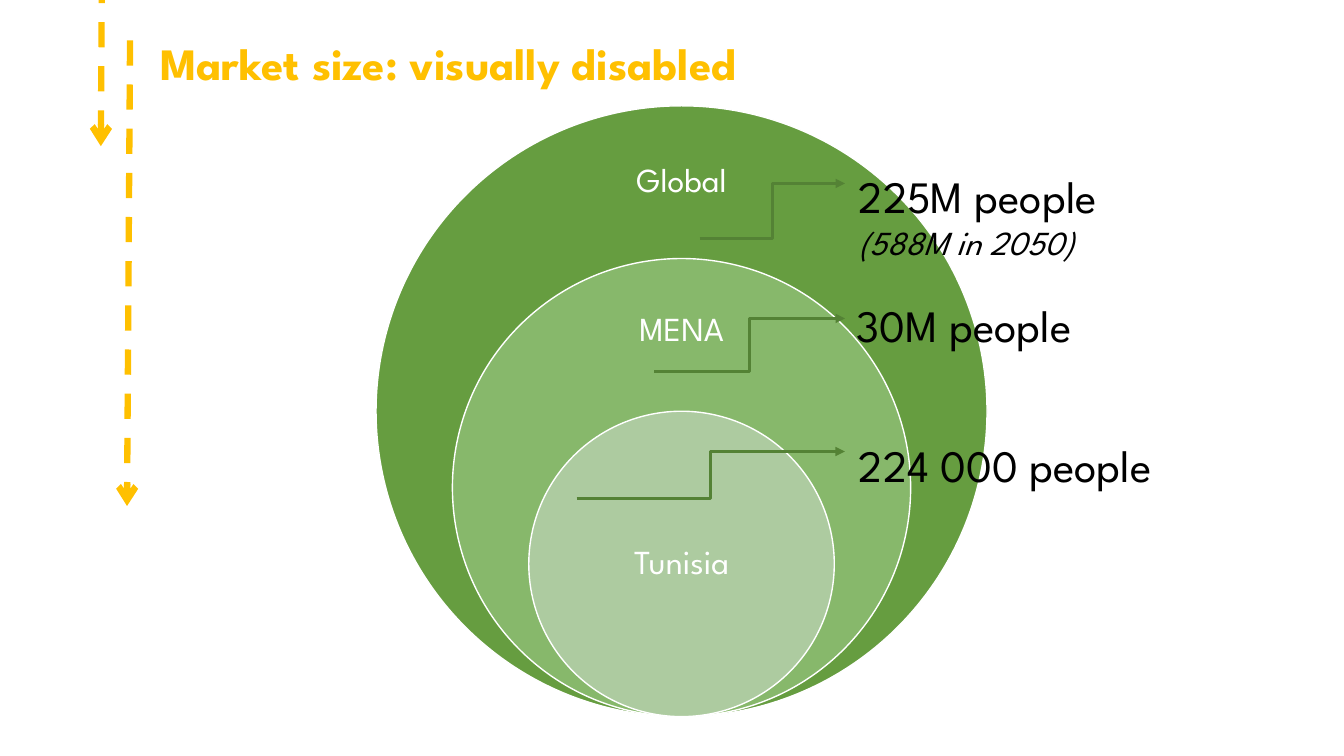
from dataclasses import dataclass

from lxml import etree
from pptx import Presentation
from pptx.dml.color import RGBColor
from pptx.enum.dml import MSO_LINE
from pptx.enum.shapes import MSO_CONNECTOR as Connector, MSO_SHAPE as Shape
from pptx.enum.text import MSO_ANCHOR as Anchor, MSO_AUTO_SIZE as AutoSize, PP_ALIGN as Align
from pptx.oxml.ns import qn
from pptx.util import Inches, Pt

# Content
TITLE = "Market size: visually disabled"
# name, share of the largest diameter, fill, label top, label height
MARKETS = [
    ("Global", 1, "669D40", 1.35, 0.91),
    ("MENA", 0.75, "87B86B", 2.85, 0.85),
    ("Tunisia", 0.5, "ADCBA0", 4.83, 1.52),
]
# lines of text, left, top, width, height, callout start, callout end height
FIGURES = [
    (["225M people", "(588M in 2050)"], 8.42, 1.62, 4.72, 1.04, (6.94, 2.37), 1.82),
    (["30M people"], 8.4, 2.9, 4.16, 0.64, (6.49, 3.69), 3.16),
    (["224 000 people"], 8.42, 4.29, 4.29, 0.64, (5.72, 4.95), 4.48),
]
SIDE_ARROWS = [((1.01, -0.22), (1, 1.45)), ((1.29, 0.4), (1.26, 5.02))]

# Geometry in inches
CENTRE_X, CIRCLES_BOTTOM, LARGEST_DIAMETER = 6.76, 7.11, 6.06
LABEL_WIDTH, LABEL_INSET = 2.12, 0.19
CALLOUT_END_X = 8.38


@dataclass(frozen=True)
class Theme:
    font: str = "League Spartan"
    accent: str = "FFC000"
    callout: str = "548235"
    white: str = "FFFFFF"
    black: str = "000000"
    large: int = 32
    small: int = 24


THEME = Theme()


def rgb(value):
    return RGBColor.from_string(value)


def add_run(paragraph, text, size, color, bold=False, italic=False):
    run = paragraph.add_run()
    run.text = text
    font = run.font
    font.name, font.size, font.color.rgb = THEME.font, Pt(size), rgb(color)
    font.bold, font.italic = bold, italic


def add_textbox(slide, *box):
    frame = slide.shapes.add_textbox(*map(Inches, box)).text_frame
    frame.word_wrap = True
    return frame


def add_arrow(slide, kind, start, end, color, width, head):
    arrow = slide.shapes.add_connector(kind, *map(Inches, (*start, *end)))
    arrow.line.color.rgb = rgb(color)
    arrow.line.width = Pt(width)
    if kind == Connector.STRAIGHT:
        arrow.line.dash_style = MSO_LINE.DASH
    etree.SubElement(arrow.line._get_or_add_ln(), qn("a:tailEnd"), type=head)
    etree.SubElement(arrow._element.spPr, qn("a:effectLst"))


def add_title(slide):
    title = slide.shapes.title
    title.left, title.top, title.width, title.height = map(Inches, (1.29, 0.3, 6.58, 0.64))
    frame = title.text_frame
    frame.word_wrap, frame.auto_size = True, AutoSize.SHAPE_TO_FIT_TEXT
    frame.vertical_anchor = Anchor.TOP
    frame.margin_right = Inches(0.36)
    paragraph = frame.paragraphs[0]
    paragraph.alignment = Align.CENTER
    add_run(paragraph, TITLE, THEME.large, THEME.accent, bold=True)


def add_market(slide, name, share, fill, label_top, label_height):
    diameter = LARGEST_DIAMETER * share
    circle = slide.shapes.add_shape(
        Shape.OVAL, Inches(CENTRE_X - diameter / 2), Inches(CIRCLES_BOTTOM - diameter),
        Inches(diameter), Inches(diameter))
    circle.shadow.inherit = False
    circle.fill.solid()
    circle.fill.fore_color.rgb = rgb(fill)
    circle.line.color.rgb = rgb(THEME.white)
    circle.line.width = Pt(1)

    frame = add_textbox(slide, CENTRE_X - LABEL_WIDTH / 2, label_top, LABEL_WIDTH, label_height)
    frame.vertical_anchor = Anchor.MIDDLE
    frame.margin_left = frame.margin_right = Inches(LABEL_INSET)
    frame.margin_top = frame.margin_bottom = Inches(LABEL_INSET)
    paragraph = frame.paragraphs[0]
    paragraph.alignment, paragraph.line_spacing = Align.CENTER, 0.9
    add_run(paragraph, name, THEME.small, THEME.white)


def add_figure(slide, lines, *box):
    frame = add_textbox(slide, *box)
    frame.auto_size = AutoSize.SHAPE_TO_FIT_TEXT
    for index, line in enumerate(lines):
        paragraph = frame.add_paragraph() if index else frame.paragraphs[0]
        size = THEME.small if index else THEME.large
        add_run(paragraph, line, size, THEME.black, italic=index > 0)


def main():
    presentation = Presentation()
    presentation.slide_width, presentation.slide_height = Inches(13.33), Inches(7.5)
    slide = presentation.slides.add_slide(presentation.slide_layouts[5])
    add_title(slide)

    # Nested market circles
    for market in MARKETS:
        add_market(slide, *market)

    # Callouts, then the figures they point to
    for *_, start, end_y in FIGURES:
        add_arrow(slide, Connector.ELBOW, start, (CALLOUT_END_X, end_y),
                  THEME.callout, 2.25, "triangle")
    for lines, left, top, width, height, *_ in FIGURES:
        add_figure(slide, lines, left, top, width, height)

    # Dashed arrows on the left
    for start, end in SIDE_ARROWS:
        add_arrow(slide, Connector.STRAIGHT, start, end, THEME.accent, 4.5, "arrow")

    presentation.save("out.pptx")


if __name__ == "__main__":
    main()
